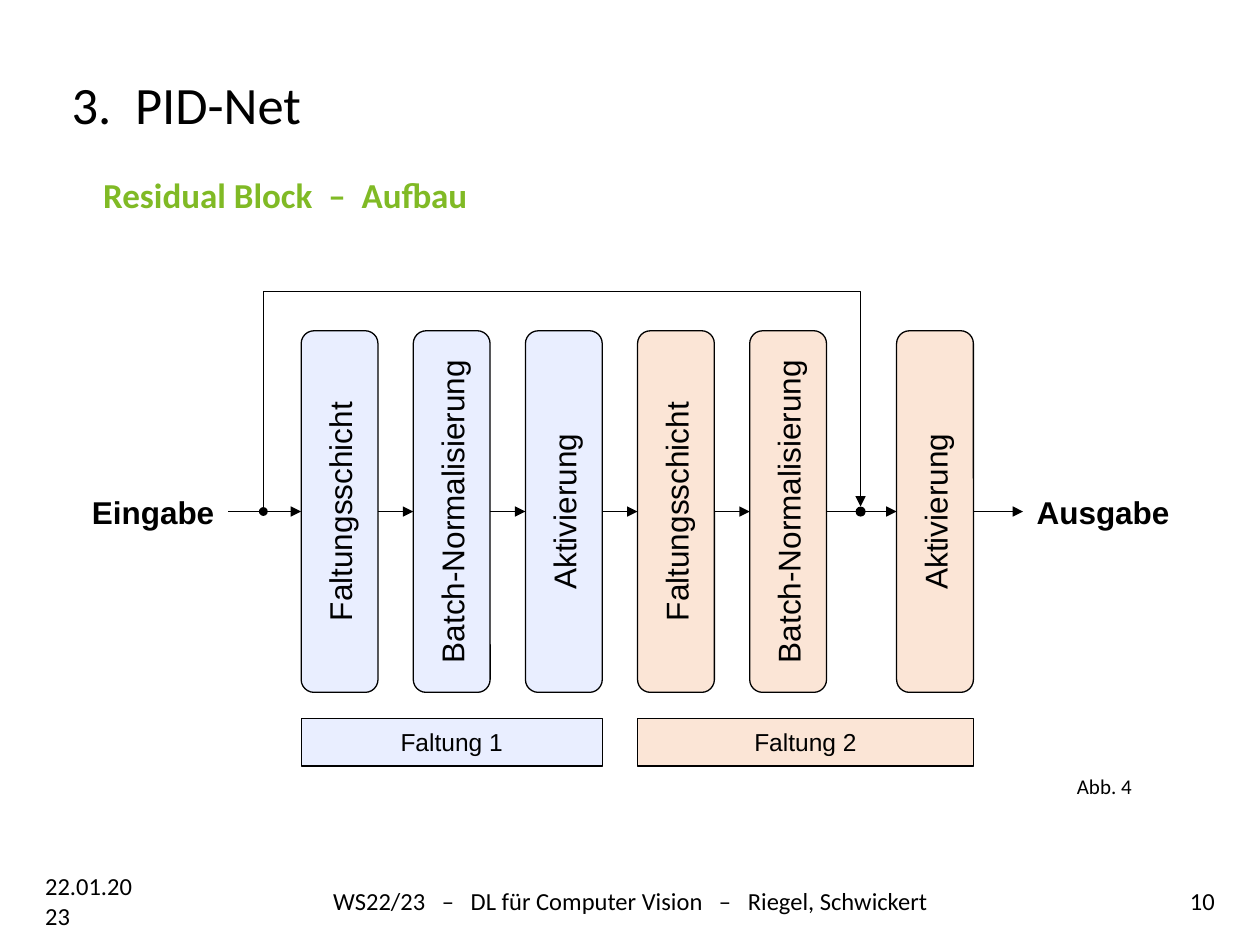
from dataclasses import dataclass

from lxml import etree
from pptx import Presentation
from pptx.dml.color import RGBColor
from pptx.enum.shapes import MSO_CONNECTOR, MSO_SHAPE
from pptx.enum.text import MSO_ANCHOR, MSO_AUTO_SIZE, PP_ALIGN
from pptx.oxml.ns import qn
from pptx.shapes.autoshape import Shape
from pptx.shapes.connector import Connector
from pptx.util import Inches, Pt

STRAIGHT, ELBOW = MSO_CONNECTOR.STRAIGHT, MSO_CONNECTOR.ELBOW
RECT, ROUNDED, OVAL = MSO_SHAPE.RECTANGLE, MSO_SHAPE.ROUNDED_RECTANGLE, MSO_SHAPE.OVAL
LEFT, CENTER, RIGHT = PP_ALIGN.LEFT, PP_ALIGN.CENTER, PP_ALIGN.RIGHT
TOP, MIDDLE = MSO_ANCHOR.TOP, MSO_ANCHOR.MIDDLE
SITE_TOP, SITE_LEFT, SITE_BOTTOM, SITE_RIGHT = range(4)


@dataclass(frozen=True)
class Theme:
    black: str = "000000"
    white: str = "FFFFFF"
    green: str = "80BA25"
    blue: str = "E9EEFF"
    orange: str = "FBE5D6"
    heading: str = "Calibri"
    diagram: str = "Arial"
    title: int = 30
    subtitle: int = 20
    label: int = 18
    small: int = 14
    caption: int = 12
    outline: float = 0.75
    arrow: float = 0.5


@dataclass(frozen=True)
class Layer:
    text: str
    column: float
    fill: str

    @property
    def left(self) -> float:
        return GRID_LEFT + self.column * PITCH

    @property
    def right(self) -> float:
        return self.left + LAYER_WIDTH


@dataclass(frozen=True)
class Caption:
    text: str
    box: tuple[float, float, float, float]
    size: int
    align: PP_ALIGN = LEFT
    anchor: MSO_ANCHOR = MIDDLE
    color: str = Theme.black
    bold: bool = False


THEME = Theme()
GRID_LEFT, PITCH = 2.39, 0.89
LAYER_WIDTH, LAYER_HEIGHT = 0.61, 2.87
FLOW_Y, BYPASS_Y = 4.06, 2.29
FOOTER_TOP, FOOTER_HEIGHT = 6.95, 0.4

LAYERS = [
    Layer("Faltungsschicht", 0, THEME.blue),
    Layer("Batch-Normalisierung", 1, THEME.blue),
    Layer("Aktivierung", 2, THEME.blue),
    Layer("Faltungsschicht", 3, THEME.orange),
    Layer("Batch-Normalisierung", 4, THEME.orange),
    Layer("Aktivierung", 5.31, THEME.orange),
]
STAGES = [("Faltung 1", LAYERS[:3]), ("Faltung 2", LAYERS[3:])]
CAPTIONS = [
    Caption("3.  PID-Net", (0.47, 0.4, 7.27, 0.85), THEME.title),
    Caption("22.01.2023", (0.26, FOOTER_TOP, 0.9, FOOTER_HEIGHT), THEME.small),
    Caption("10", (9.17, FOOTER_TOP, 0.57, FOOTER_HEIGHT), THEME.small, RIGHT),
    Caption("WS22/23   –   DL für Computer Vision   –   Riegel, Schwickert",
            (1.37, FOOTER_TOP, 7.27, FOOTER_HEIGHT), THEME.small, CENTER),
    Caption("Residual Block  –  Aufbau", (0.72, 1.33, 3.14, 0.44), THEME.subtitle,
            anchor=TOP, color=THEME.green, bold=True),
    Caption("Abb. 4", (8.35, 6.09, 0.83, 0.28), THEME.caption, CENTER, TOP),
]


def rgb(color: str) -> RGBColor:
    return RGBColor.from_string(color)


def write(shape: Shape, text: str, size: int, font: str, align: PP_ALIGN = CENTER,
          anchor: MSO_ANCHOR = MIDDLE, inset: float | None = None,
          color: str = THEME.black, bold: bool = False) -> None:
    frame = shape.text_frame
    frame.text = text
    frame.word_wrap = True
    frame.auto_size = MSO_AUTO_SIZE.NONE
    frame.vertical_anchor = anchor
    if inset is not None:
        frame.margin_left = frame.margin_right = Inches(inset)
        frame.margin_top = frame.margin_bottom = Inches(inset)
    paragraph = frame.paragraphs[0]
    paragraph.alignment = align
    run_font = paragraph.runs[0].font
    run_font.name, run_font.size, run_font.bold = font, Pt(size), bold
    run_font.color.rgb = rgb(color)


def add_caption(shapes, caption: Caption) -> None:
    box = shapes.add_textbox(*map(Inches, caption.box))
    write(box, caption.text, caption.size, THEME.heading, caption.align,
          caption.anchor, color=caption.color, bold=caption.bold)


def add_block(shapes, kind: MSO_SHAPE, box: tuple[float, ...], fill: str,
              outlined: bool = True) -> Shape:
    block = shapes.add_shape(kind, *map(Inches, box))
    block.shadow.inherit = False
    block.fill.solid()
    block.fill.fore_color.rgb = rgb(fill)
    if outlined:
        block.line.color.rgb = rgb(THEME.black)
        block.line.width = Pt(THEME.outline)
    else:
        block.line.fill.background()
    return block


def add_layer(shapes, layer: Layer) -> Shape:
    """Draw a layer lying down and turn it upright, so its text reads upwards."""
    center = layer.left + LAYER_WIDTH / 2
    block = add_block(shapes, ROUNDED, (center - LAYER_HEIGHT / 2, FLOW_Y - LAYER_WIDTH / 2,
                                        LAYER_HEIGHT, LAYER_WIDTH), layer.fill)
    block.rotation = 270
    write(block, layer.text, THEME.label, THEME.diagram, inset=0.04)
    return block


def add_endpoint(shapes, text: str, left: float, width: float) -> Shape:
    block = add_block(shapes, RECT, (left, FLOW_Y - 0.18, width, 0.36), THEME.white, False)
    write(block, text, THEME.label, THEME.diagram, inset=0, bold=True)
    return block


def style_arrow(arrow: Connector) -> None:
    arrow.line.color.rgb = rgb(THEME.black)
    arrow.line.width = Pt(THEME.arrow)
    etree.SubElement(arrow.line._get_or_add_ln(), qn("a:tailEnd"), type="triangle")
    etree.SubElement(arrow._element.spPr, qn("a:effectLst"))


def add_flow(shapes, source: Shape, source_site: int, start: float,
             target: Shape, target_site: int, end: float) -> None:
    """Join two blocks, then place the ends where the turned sides really are."""
    arrow = shapes.add_connector(STRAIGHT, 0, 0, 0, 0)
    arrow.begin_connect(source, source_site)
    arrow.end_connect(target, target_site)
    arrow.begin_x, arrow.end_x = Inches(start), Inches(end)
    arrow.begin_y = arrow.end_y = Inches(FLOW_Y)
    style_arrow(arrow)


def add_bypass(shapes, start: float, end: float) -> None:
    """Draw an elbow turned by 90°, whose bend lies far above its two ends."""
    drop, span, base = 0.01, end - start, FLOW_Y - 0.03
    left, top = (start + end - drop) / 2, base - (drop + span) / 2
    bypass = shapes.add_connector(ELBOW, *map(Inches, (left, top, left + drop, top + span)))
    properties = bypass._element.spPr
    for key, value in (("rot", "5400000"), ("flipH", "1"), ("flipV", "1")):
        properties.find(qn("a:xfrm")).set(key, value)
    bend = round((base - BYPASS_Y) / drop * 100000)
    guides = properties.find(qn("a:prstGeom")).get_or_add_avLst()
    etree.SubElement(guides, qn("a:gd"), name="adj1", fmla=f"val {bend}")
    style_arrow(bypass)


def add_junction(shapes, center: float, size: float) -> None:
    add_block(shapes, OVAL, (center - size / 2, FLOW_Y - size / 2, size, size),
              THEME.black, False)


def main() -> None:
    deck = Presentation()
    deck.slide_width, deck.slide_height = Inches(10), Inches(7.5)
    shapes = deck.slides.add_slide(deck.slide_layouts[6]).shapes

    for caption in CAPTIONS:
        add_caption(shapes, caption)

    eingabe = add_endpoint(shapes, "Eingabe", 0.62, 1.19)
    ausgabe = add_endpoint(shapes, "Ausgabe", 8.12, 1.27)
    blocks = [add_layer(shapes, layer) for layer in LAYERS]
    for name, members in STAGES:
        left, right = members[0].left, members[-1].right
        stage = add_block(shapes, RECT, (left, 5.7, right - left, 0.38), members[0].fill)
        write(stage, name, THEME.small, THEME.diagram, inset=0)

    # A layer's top faces left and its bottom faces right once it is turned.
    add_flow(shapes, eingabe, SITE_RIGHT, 1.81, blocks[0], SITE_TOP, LAYERS[0].left)
    for i in range(len(LAYERS) - 1):
        add_flow(shapes, blocks[i], SITE_BOTTOM, LAYERS[i].right,
                 blocks[i + 1], SITE_TOP, LAYERS[i + 1].left)
    add_flow(shapes, blocks[-1], SITE_BOTTOM, LAYERS[-1].right, ausgabe, SITE_LEFT, 8.12)

    branch, merge = 2.09, 6.83
    add_bypass(shapes, branch, merge)
    add_junction(shapes, branch, 0.07)
    add_junction(shapes, merge, 0.08)

    deck.save("out.pptx")


if __name__ == "__main__":
    main()
